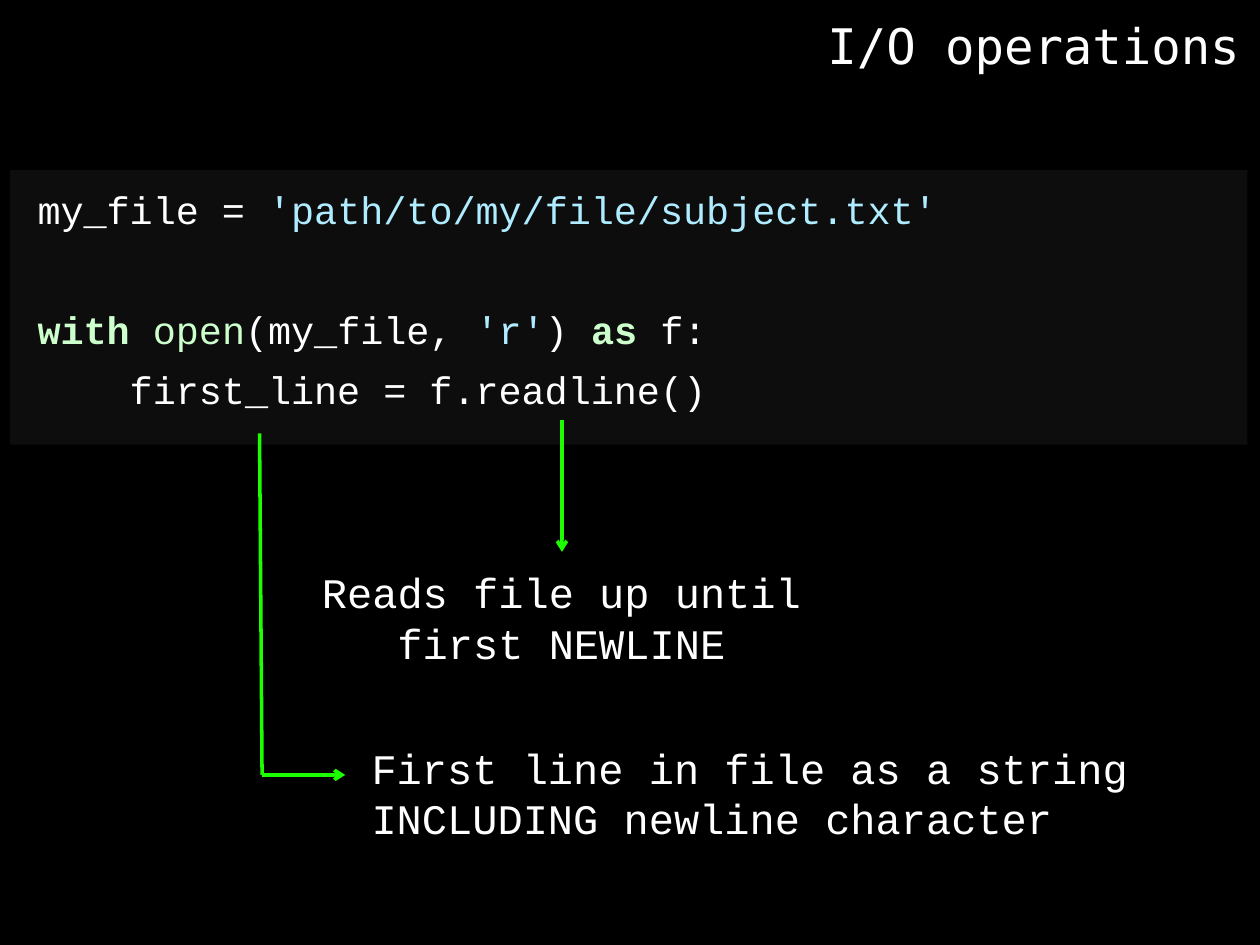
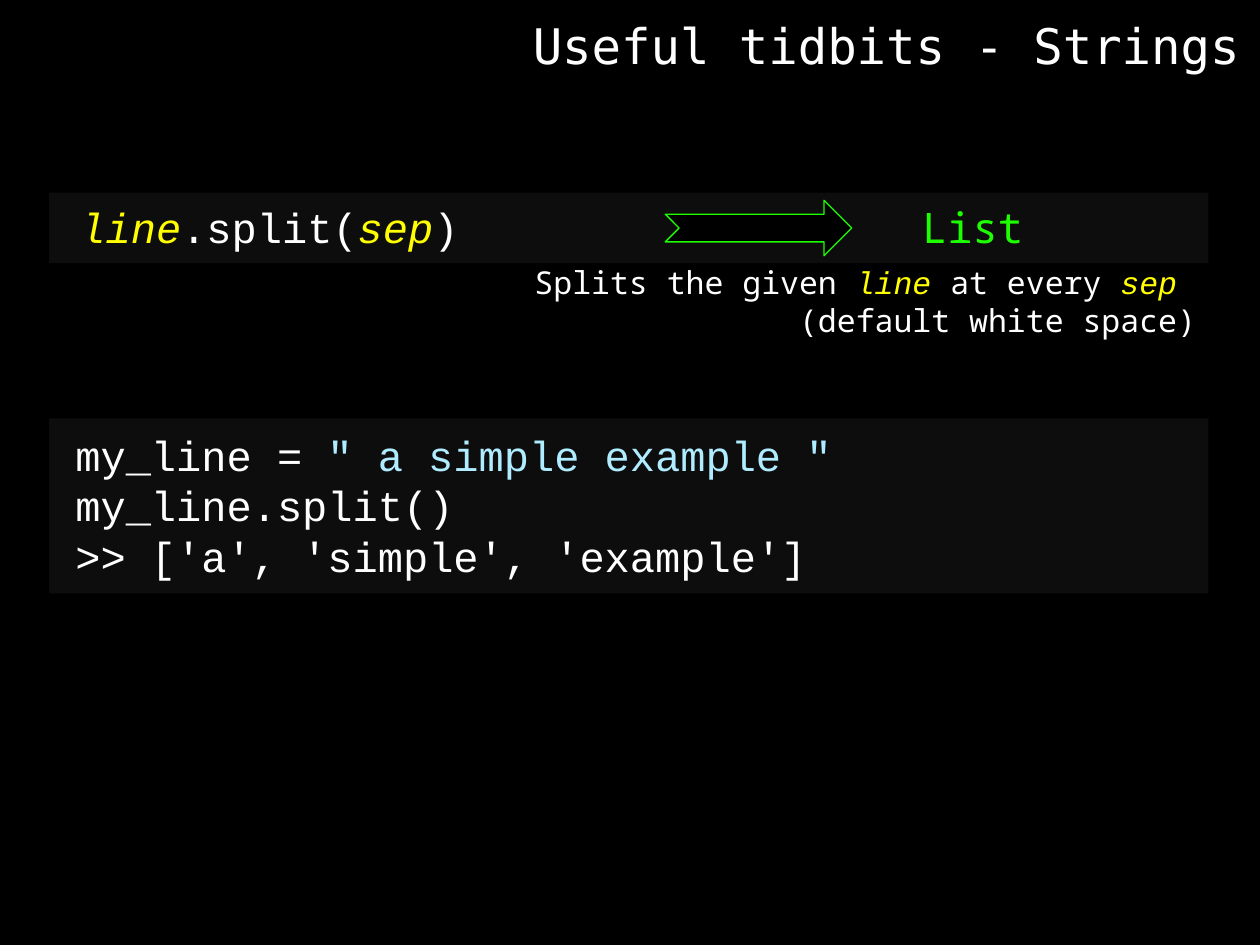
import pptx
import pptx.dml.color
import pptx.enum.shapes
import pptx.enum.text
import pptx.oxml.ns
import pptx.util
from lxml import etree

Inches = pptx.util.Inches
Pt = pptx.util.Pt
ALIGN = pptx.enum.text.PP_ALIGN
SHAPE = pptx.enum.shapes.MSO_SHAPE
qn = pptx.oxml.ns.qn

COLORS = {
    "background": "000000",
    "panel": "0D0D0D",
    "text": "FFFFFF",
    "string": "AFECFF",
    "keyword": "CCFFCC",
    "argument": "FFFF00",
    "accent": "1DFF00",
}
CODE_FONT = "Courier New"
TITLE_FONT = "DejaVu Sans Mono"
NOTE_FONT = "Noto Sans Mono"

STRING = {"color": "string"}
BUILTIN = {"color": "keyword"}
KEYWORD = {"color": "keyword", "bold": True}
ARGUMENT = {"color": "argument", "italic": True, "font": CODE_FONT}


def rgb(name):
    return pptx.dml.color.RGBColor.from_string(COLORS[name])


def format_run(run, size, font, color="text", bold=False, italic=False):
    run.font.size = Pt(size)
    run.font.name = font
    run.font.color.rgb = rgb(color)
    run.font.bold = bold
    run.font.italic = italic


def write_text(frame, lines, size=24, font=CODE_FONT, align=ALIGN.LEFT,
               spacing=None, gaps=None, wrap=True):
    frame.word_wrap = wrap
    frame.vertical_anchor = pptx.enum.text.MSO_ANCHOR.TOP
    for index, line in enumerate(lines):
        paragraph = frame.paragraphs[0] if index == 0 else frame.add_paragraph()
        paragraph.alignment = align
        if spacing:
            paragraph.line_spacing = spacing
        if gaps and index in gaps:
            paragraph.space_before = Pt(gaps[index])
        for words, style in line:
            run = paragraph.add_run()
            run.text = words
            format_run(run, **{"size": size, "font": font, **style})


def add_text(slide, box, lines, **style):
    label = slide.shapes.add_textbox(*map(Inches, box))
    write_text(label.text_frame, lines, **style)


def add_block(slide, box, fill="panel", kind=SHAPE.RECTANGLE, outline=None):
    block = slide.shapes.add_shape(kind, *map(Inches, box))
    block.shadow.inherit = False
    block.fill.solid()
    block.fill.fore_color.rgb = rgb(fill)
    if outline:
        block.line.color.rgb = rgb(outline)
        block.line.width = Pt(0.75)
    else:
        block.line.fill.background()


def add_pointer(slide, start, end, arrow=True):
    pointer = slide.shapes.add_connector(
        pptx.enum.shapes.MSO_CONNECTOR.STRAIGHT, *map(Inches, start + end))
    pointer.line.color.rgb = rgb("accent")
    pointer.line.width = Pt(2)
    properties = pointer._element.spPr
    if arrow:
        etree.SubElement(properties.find(qn("a:ln")), qn("a:tailEnd"), type="arrow")
    etree.SubElement(properties, qn("a:effectLst"))


def add_titled_slide(deck, title, width):
    slide = deck.slides.add_slide(deck.slide_layouts[5])
    heading = slide.shapes.title
    right_edge = 9.94
    heading.left, heading.top = Inches(right_edge - width), Inches(0.07)
    heading.width, heading.height = Inches(width), Inches(0.57)
    write_text(heading.text_frame, [[(title, {})]], size=28, font=TITLE_FONT,
               align=ALIGN.RIGHT, wrap=False)
    return slide


def build_io_slide(deck):
    slide = add_titled_slide(deck, "I/O operations", 3.5)
    add_block(slide, (0.08, 1.35, 9.82, 2.18))
    add_text(slide, (0.2, 1.32, 9.37, 2.01), [
        [("my_file = ", {}), ("'path/to/my/file/subject.txt'", STRING)],
        [("with", KEYWORD), (" open", BUILTIN), ("(my_file, ", {}),
         ("'r'", STRING), (") ", {}), ("as ", KEYWORD), ("f:", {})],
        [("    first_line = f.readline()", {})],
    ], size=22, spacing=1.3, gaps={1: 34})

    add_text(slide, (2.22, 4.45, 4.47, 0.91),
             [[("Reads file up until first NEWLINE", {})]], align=ALIGN.CENTER)
    add_pointer(slide, (4.46, 3.33), (4.46, 4.38))

    corner = (2.08, 6.15)
    add_pointer(slide, corner, (2.74, 6.15))
    add_pointer(slide, (2.06, 3.44), corner, arrow=False)
    add_text(slide, (2.85, 5.84, 6.85, 0.91), [
        [("First line in file as a string", {})],
        [("INCLUDING newline character", {})],
    ])


def build_strings_slide(deck):
    slide = add_titled_slide(deck, "Useful tidbits - Strings", 5.86)
    add_text(slide, (2.21, 2.04, 7.38, 0.71), [
        [("Splits the given ", {}), ("line ", ARGUMENT),
         ("at every ", {}), ("sep ", ARGUMENT)],
        [("(default white space)", {})],
    ], size=18, font=NOTE_FONT, align=ALIGN.RIGHT)

    add_block(slide, (0.39, 1.53, 9.2, 0.56))
    add_text(slide, (0.54, 1.55, 3.25, 0.5), [
        [("line", ARGUMENT), (".split(", {}), ("sep", ARGUMENT), (")", {})],
    ], wrap=False)
    add_text(slide, (7.22, 1.55, 1.01, 0.5),
             [[("List", {"color": "accent"})]], font=NOTE_FONT, wrap=False)
    add_block(slide, (5.28, 1.59, 1.48, 0.44), fill="background",
              kind=SHAPE.NOTCHED_RIGHT_ARROW, outline="accent")

    add_block(slide, (0.39, 3.32, 9.2, 1.39))
    add_text(slide, (0.5, 3.36, 6.26, 1.31), [
        [("my_line = ", {}), ("\" a simple example \"", STRING)],
        [("my_line.split()", {})],
        [(">> ['a', 'simple', 'example']", {})],
    ], wrap=False)


def main():
    deck = pptx.Presentation()
    deck.slide_width, deck.slide_height = Inches(10), Inches(7.5)
    backdrop = deck.slide_master.background.fill
    backdrop.solid()
    backdrop.fore_color.rgb = rgb("background")
    build_io_slide(deck)
    build_strings_slide(deck)
    deck.save("out.pptx")


if __name__ == "__main__":
    main()
